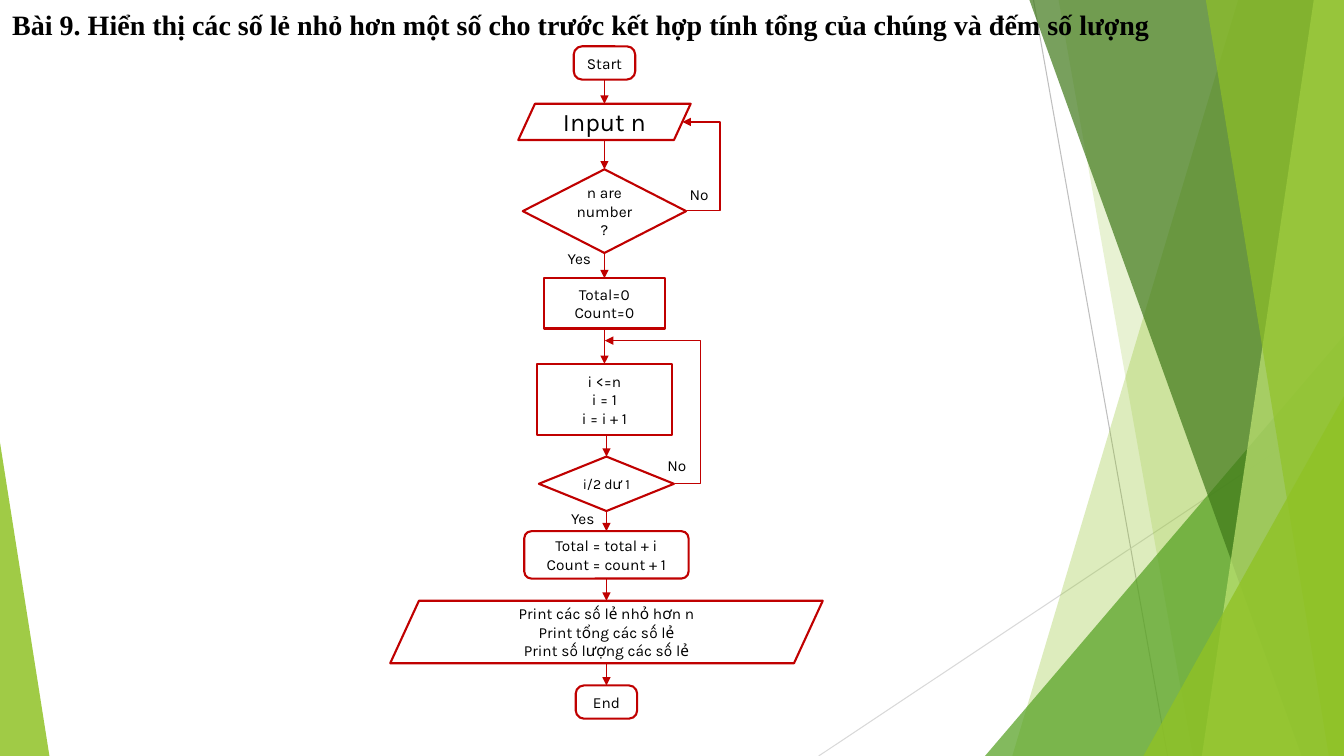
from itertools import pairwise

from lxml import etree
from pptx import Presentation, util as u
from pptx.dml.color import RGBColor
from pptx.enum import shapes, text
from pptx.oxml import ns

COLORS = {
    "ink": "000000", "flow": "C00000", "lime": "90C226", "leaf": "54A021",
    "forest": "3F7819", "mint": "C0E474", "gray": "BFBFBF", "silver": "D9D9D9",
}
SHAPE, ALIGN = shapes.MSO_SHAPE, text.PP_ALIGN
FLOW_FONT = {"name": "Karla", "size": u.Pt(11)}
TITLE_FONT = {"name": "Times New Roman", "size": u.Pt(20), "bold": True}


def rgb(name):
    """Return the named colour."""
    return RGBColor.from_string(COLORS[name])


def add_child(parent, tag, **values):
    """Append a drawing element with the given attributes."""
    return etree.SubElement(parent, ns.qn(tag), values)


def paint(facet, color, opacity):
    """Fill a facet with a translucent colour and no outline."""
    facet.shadow.inherit = False
    facet.line.fill.background()
    facet.fill.solid()
    facet.fill.fore_color.rgb = rgb(color)
    tint = facet.fill._xPr.find(".//" + ns.qn("a:srgbClr"))
    add_child(tint, "a:alpha", val=str(opacity * 1000))


def write(frame, lines, font, align=ALIGN.CENTER, spacing=None, wrap=True):
    """Write one paragraph per line in a shared format."""
    frame.word_wrap = wrap
    frame.vertical_anchor = text.MSO_ANCHOR.MIDDLE
    for index, line in enumerate(lines):
        paragraph = frame.add_paragraph() if index else frame.paragraphs[0]
        paragraph.alignment = align
        paragraph.line_spacing = spacing
        run = paragraph.add_run()
        run.text = line
        for key, value in font.items():
            setattr(run.font, key, value)
        run.font.color.rgb = rgb("ink")


def add_line(slide, start, end, color, width, kind=shapes.MSO_CONNECTOR.STRAIGHT):
    """Draw a connector without a shadow."""
    ends = [u.Inches(value) for value in (*start, *end)]
    line = slide.shapes.add_connector(kind, *ends)
    line.line.color.rgb = rgb(color)
    line.line.width = u.Pt(width)
    add_child(line._element.spPr, "a:effectLst")
    return line


def add_arrow(slide, start, end, bends=()):
    """Draw a flow arrow, bent at the given fractions of its span."""
    kind = shapes.MSO_CONNECTOR.ELBOW if bends else shapes.MSO_CONNECTOR.STRAIGHT
    arrow = add_line(slide, start, end, "flow", 1, kind)
    add_child(arrow.line._get_or_add_ln(), "a:tailEnd", type="triangle")
    if bends:
        geometry = arrow._element.spPr.find(ns.qn("a:prstGeom"))
        geometry.set("prst", f"bentConnector{len(bends) + 2}")
        guides = geometry.find(ns.qn("a:avLst"))
        for number, bend in enumerate(bends, 1):
            add_child(guides, "a:gd", name=f"adj{number}", fmla=f"val {round(bend * 100000)}")


def add_backdrop(slide, left, top, width, height):
    """Draw the green facets along both edges of the box."""
    right, bottom = left + width, top + height
    add_line(slide, (left + 10.25, top), (left + 11.58, bottom), "gray", 0.75)
    add_line(slide, (right, top + 4.03), (left + 8.12, bottom), "silver", 0.75)

    def band(upper, lower, color, opacity):
        """Draw a band from a slanted edge to the right side."""
        corners = [(left + upper, top), (right, top), (right, bottom), (left + lower, bottom)]
        points = [(u.Inches(x), u.Inches(y)) for x, y in corners]
        outline = slide.shapes.build_freeform(*points[0])
        outline.add_line_segments(points[1:], close=True)
        paint(outline.convert_to_shape(), color, opacity)

    def wedge(x, wide, tall, peak, color, opacity):
        """Draw a triangle standing on the bottom edge."""
        place = [u.Inches(value) for value in (x, bottom - tall, wide, tall)]
        facet = slide.shapes.add_shape(SHAPE.ISOSCELES_TRIANGLE, *place)
        facet.adjustments[0] = peak
        paint(facet, color, opacity)

    band(12.28, 10.04, "lime", 30)
    band(10.5, 11.83, "lime", 20)
    wedge(right - 3.56, 3.56, 4.17, 1, "leaf", 72)
    band(10.21, 12.91, "forest", 70)
    band(13.03, 11.92, "mint", 70)
    band(11.96, 13.18, "lime", 65)
    wedge(right - 1.99, 1.99, 3.57, 1, "lime", 80)
    wedge(left, 0.49, 3.11, 0, "lime", 85)


def add_title(slide, left, top, width, height):
    """Write the exercise title in the box."""
    place = [u.Inches(value) for value in (left, top, width, height)]
    heading = "Bài 9. Hiển thị các số lẻ nhỏ hơn một số cho trước kết hợp tính tổng của chúng và đếm số lượng"
    write(slide.shapes.add_textbox(*place).text_frame, [heading], TITLE_FONT, spacing=0.9)


def add_step(slide, place, kind, corner, lines, outlined=True, size=11, **layout):
    """Draw one flowchart step or branch label."""
    step = slide.shapes.add_shape(kind, *[u.Inches(value) for value in place])
    step.shadow.inherit = False
    step.fill.background()
    if corner is not None:
        step.adjustments[0] = corner
    if outlined:
        step.line.color.rgb = rgb("flow")
        step.line.width = u.Pt(1.5)
    else:
        step.line.fill.background()
    write(step.text_frame, lines, FLOW_FONT | {"size": u.Pt(size)}, **layout)


def add_flowchart(slide, left, top, width, height):
    """Draw the steps down the middle of the box with their arrows and loops."""
    middle = left + width / 2
    steps = [
        (-0.02, 0, 0.61, 0.33, SHAPE.ROUNDED_RECTANGLE, 0.25, ["Start"], {}),
        (-0.02, 0.57, 1.71, 0.36, SHAPE.PARALLELOGRAM, 0.46, ["Input n"], {"size": 18}),
        (-0.02, 1.22, 1.62, 0.83, SHAPE.DIAMOND, None, ["n are number?"], {}),
        (-0.02, 2.3, 1.2, 0.5, SHAPE.RECTANGLE, None, ["Total=0", "Count=0"], {}),
        (-0.02, 3.15, 1.34, 0.71, SHAPE.RECTANGLE, None, ["i <=n", "i = 1", "i = i + 1"], {}),
        (0, 4.07, 1.34, 0.54, SHAPE.DIAMOND, None, ["i/2 dư 1"], {"size": 10, "wrap": False}),
        (0, 4.81, 1.63, 0.47, SHAPE.ROUNDED_RECTANGLE, 0.15,
         ["Total = total + i", "Count = count + 1"], {}),
        (0, 5.5, width, 0.62, SHAPE.PARALLELOGRAM, 0.46,
         ["Print các số lẻ nhỏ hơn n", "Print tổng các số lẻ", "Print số lượng các số lẻ"], {}),
        (0, height - 0.33, 0.61, 0.33, SHAPE.ROUNDED_RECTANGLE, 0.25, ["End"], {}),
    ]
    for shift, down, wide, tall, kind, corner, lines, layout in steps:
        place = (middle + shift - wide / 2, top + down, wide, tall)
        add_step(slide, place, kind, corner, lines, **layout)
    for before, after in pairwise(steps):
        axis = middle + after[0]
        add_arrow(slide, (axis, top + before[1] + before[3]), (axis, top + after[1]))

    add_arrow(slide, (left + 2.94, top + 1.63), (left + 2.9, top + 0.75), [-8.22])
    add_arrow(slide, (left + 2.82, top + 4.34), (left + 2.13, top + 2.92), [-0.37, 1])

    labels = [
        (2.85, 1.34, 0.43, 0.25, "No", ALIGN.CENTER),
        (1.65, 1.97, 0.52, 0.26, "Yes", ALIGN.JUSTIFY),
        (2.64, 4.03, 0.52, 0.26, "No", ALIGN.JUSTIFY),
        (1.65, 4.52, 0.52, 0.32, "Yes", ALIGN.CENTER),
    ]
    for across, down, wide, tall, answer, align in labels:
        place = (left + across, top + down, wide, tall)
        add_step(slide, place, SHAPE.ROUNDED_RECTANGLE, 0.15, [answer], False, align=align)


def main():
    """Build and save the flowchart slide."""
    deck = Presentation()
    deck.slide_width, deck.slide_height = u.Inches(13.33), u.Inches(7.5)
    slide = deck.slides.add_slide(deck.slide_layouts[6])
    add_backdrop(slide, 0, 0, 13.33, 7.5)
    add_title(slide, -0.56, -0.05, 12.65, 0.62)
    add_flowchart(slide, 3.87, 0.46, 4.29, 6.67)
    deck.save("out.pptx")


if __name__ == "__main__":
    main()
